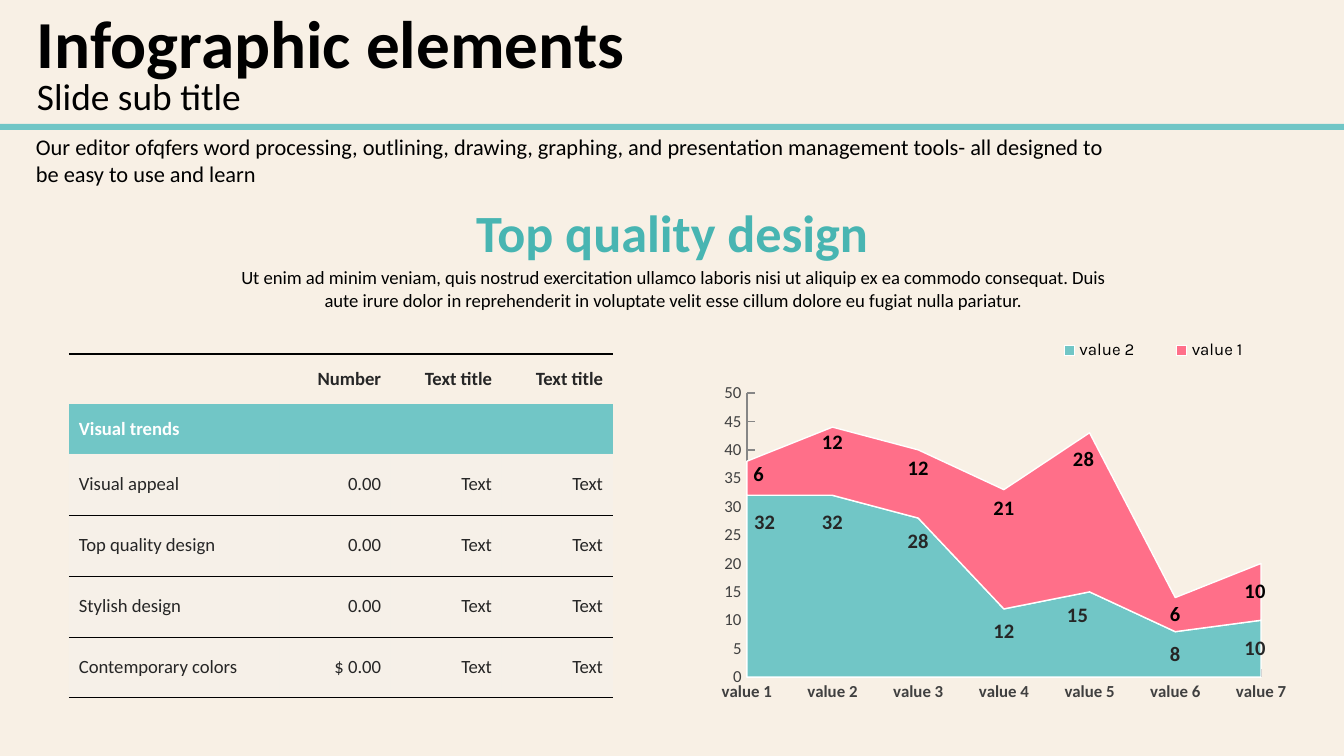
import lxml.etree
import pptx
import pptx.chart.data
import pptx.dml.color
import pptx.enum.chart
import pptx.enum.shapes
import pptx.enum.text
import pptx.oxml.ns
import pptx.util

PX = 914400 / 134.4
TEAL, PINK, INK, BLACK, WHITE = "71C6C6", "FF6F89", "262626", "000000", "FFFFFF"
ALIGN = pptx.enum.text.PP_ALIGN
ANCHOR = pptx.enum.text.MSO_ANCHOR
qn = pptx.oxml.ns.qn


def px(length):
    return pptx.util.Emu(round(length * PX))


def paint(color_format, color):
    color_format.rgb = pptx.dml.color.RGBColor.from_string(color)


def fill_with(fill, color):
    fill.solid()
    paint(fill.fore_color, color)


def style(font, size, color=BLACK, bold=False, face="Calibri"):
    font.name, font.size, font.bold = face, pptx.util.Pt(size), bold
    paint(font.color, color)


def add_text(slide, box, text, size, color=BLACK, bold=False,
             align=ALIGN.LEFT, anchor=ANCHOR.TOP, spacing=1.0):
    frame = slide.shapes.add_textbox(*map(px, box)).text_frame
    frame.word_wrap = True
    frame.vertical_anchor = anchor
    frame.margin_left = frame.margin_right = frame.margin_top = frame.margin_bottom = 0
    paragraph = frame.paragraphs[0]
    paragraph.alignment, paragraph.line_spacing = align, spacing
    run = paragraph.add_run()
    run.text = text
    style(run.font, size, color, bold)


def add_header(slide, left, top, width, height):
    add_text(slide, (left + 37, top + 82, 1185, 48), "Slide sub title", 20, spacing=0.8)
    add_text(slide, (left + 37, top + 17, 1185, 78), "Infographic elements", 36,
             bold=True, spacing=0.8)
    rule = slide.shapes.add_shape(pptx.enum.shapes.MSO_SHAPE.RECTANGLE,
                                  px(left), px(top + height - 6), px(width), px(6))
    rule.shadow.inherit = False
    fill_with(rule.fill, TEAL)
    rule.line.fill.background()


def add_intro(slide, left, top, width, height):
    add_text(slide, (left + 36, top, 1081, 54),
             "Our editor ofqfers word processing, outlining, drawing, graphing, and "
             "presentation management tools- all designed to be easy to use and learn", 12)
    add_text(slide, (left + 234, top + 133, 878, 46),
             "Ut enim ad minim veniam, quis nostrud exercitation ullamco laboris nisi ut "
             "aliquip ex ea commodo consequat. Duis aute irure dolor in reprehenderit in "
             "voluptate velit esse cillum dolore eu fugiat nulla pariatur.",
             10, align=ALIGN.CENTER)
    add_text(slide, (left + 348, top + 75, 648, 47), "Top quality design", 28, "48B5B2",
             True, ALIGN.CENTER, ANCHOR.MIDDLE)


def add_border(cell, side, points):
    line = lxml.etree.Element(qn("a:" + side), w=str(pptx.util.Pt(points)))
    solid = lxml.etree.SubElement(line, qn("a:solidFill"))
    lxml.etree.SubElement(solid, qn("a:srgbClr"), val=BLACK)
    cell._tc.get_or_add_tcPr().insert(0, line)


def fill_cell(cell, row, column, text):
    cell.margin_left = cell.margin_right = px(10)
    cell.margin_top = cell.margin_bottom = px(5)
    cell.vertical_anchor = ANCHOR.MIDDLE
    paragraph = cell.text_frame.paragraphs[0]
    paragraph.alignment = ALIGN.RIGHT if column else ALIGN.LEFT
    if text:
        run = paragraph.add_run()
        run.text = text
        style(run.font, 10, WHITE if row == 1 else INK, row < 2)
    else:
        lxml.etree.SubElement(paragraph._p, qn("a:endParaRPr"), sz="1000")
    if row == 0:
        cell.fill.background()
        add_border(cell, "lnT", 1)
    elif row == 1:
        fill_with(cell.fill, TEAL)
    else:
        fill_with(cell.fill, "F2F2F2")
        tint = cell._tc.tcPr.find(".//" + qn("a:srgbClr"))
        lxml.etree.SubElement(tint, qn("a:alpha"), val="30000")
        add_border(cell, "lnB", 1 if row == 5 else 0.25)


def add_trends_table(slide, left, top, width, height):
    rows = [
        ("", "Number", "Text title", "Text title"),
        ("Visual trends", "", "", ""),
        ("Visual appeal", "0.00", "Text", "Text"),
        ("Top quality design", "0.00", "Text", "Text"),
        ("Stylish design", "0.00", "Text", "Text"),
        ("Contemporary colors", "$ 0.00", "Text", "Text"),
    ]
    trends = slide.shapes.add_table(6, 4, px(left), px(top), px(width), px(height)).table
    trends.first_row = trends.horz_banding = False
    table_style = trends._tbl.tblPr.find(qn("a:tableStyleId"))
    table_style.text = "{2D5ABB26-0587-4C30-8999-92F81FD0307C}"
    for column in range(4):
        trends.columns[column].width = px(111 if column else width - 3 * 111)
    for row, texts in enumerate(rows):
        trends.rows[row].height = px(50 if row < 2 else (height - 100) / 4)
        for column, text in enumerate(texts):
            fill_cell(trends.cell(row, column), row, column, text)


def set_layout(parent, index, **settings):
    for old in parent.findall(qn("c:layout")):
        parent.remove(old)
    layout = lxml.etree.Element(qn("c:layout"))
    manual = lxml.etree.SubElement(layout, qn("c:manualLayout"))
    for key, value in settings.items():
        lxml.etree.SubElement(manual, qn("c:" + key), val=str(value))
    parent.insert(index, layout)


def style_series(series, color, label_color, offsets, width, height):
    fill_with(series.format.fill, color)
    fill_with(series.format.line.fill, WHITE)
    series.format.line.width = pptx.util.Pt(0.75)
    labels = series.data_labels
    labels.show_value = True
    style(labels.font, 11, label_color, True)
    for point, (dx, dy) in offsets.items():
        style(series.points[point].data_label.font, 11, label_color, True)
        label = series._element.xpath(f"c:dLbls/c:dLbl[c:idx/@val='{point}']")[0]
        set_layout(label, 1, x=round(dx / width, 2), y=round(dy / height, 2))
    for leader in series._element.iter(qn("c:showLeaderLines")):
        leader.set("val", "0")


def add_values_chart(slide, left, top, width, height):
    data = pptx.chart.data.CategoryChartData()
    data.categories = [f"value {number}" for number in range(1, 8)]
    data.add_series("value 2", (32, 32, 28, 12, 15, 8, 10))
    data.add_series("value 1", (6, 12, 12, 21, 28, 6, 10))
    chart = slide.shapes.add_chart(pptx.enum.chart.XL_CHART_TYPE.AREA_STACKED, px(left),
                                   px(top), px(width), px(height), data).chart
    style(chart.font, 9)
    chart.has_title = False
    chart.has_legend = True
    chart.legend.position = pptx.enum.chart.XL_LEGEND_POSITION.BOTTOM
    chart.legend.include_in_layout = False
    style(chart.legend.font, 9, face="Karla")
    set_layout(chart.legend._element, 1, xMode="edge", yMode="edge",
               x=0.55, y=0, w=0.42, h=0.07)
    set_layout(chart._chartSpace.chart.plotArea, 0, layoutTarget="inner", xMode="edge",
               yMode="edge", x=0.08, y=0.15, w=0.86, h=0.76)
    for axis, bold in ((chart.category_axis, True), (chart.value_axis, False)):
        axis.has_major_gridlines = False
        axis.major_tick_mark = pptx.enum.chart.XL_TICK_MARK.INSIDE
        axis.minor_tick_mark = pptx.enum.chart.XL_TICK_MARK.NONE
        fill_with(axis.format.line.fill, "868686")
        style(axis.tick_labels.font, 9, "404040", bold)
    chart.value_axis.minimum_scale, chart.value_axis.maximum_scale = 0, 50
    chart.value_axis.major_unit = 5
    for crossing in chart._chartSpace.iter(qn("c:crossBetween")):
        crossing.set("val", "midCat")
    lower, upper = chart.plots[0].series
    style_series(lower, TEAL, INK, {0: (17, -62), 1: (0, -62), 2: (0, -57), 3: (0, -11),
                                    4: (-12, -20), 6: (-8, 0)}, width, height)
    style_series(upper, PINK, BLACK, {0: (10, -4), 1: (0, -19), 2: (0, -15), 3: (-2, -41),
                                      4: (-5, -54), 6: (-8, 0)}, width, height)


def main():
    deck = pptx.Presentation()
    deck.slide_width, deck.slide_height = px(1344), px(756)
    slide = deck.slides.add_slide(deck.slide_layouts[6])
    fill_with(slide.background.fill, "F8F0E5")
    add_header(slide, 0, 0, 1344, 130)
    add_intro(slide, 0, 133, 1344, 179)
    add_values_chart(slide, 699, 337, 598, 374)
    add_trends_table(slide, 69, 354, 544, 344)
    deck.save("out.pptx")


if __name__ == "__main__":
    main()
